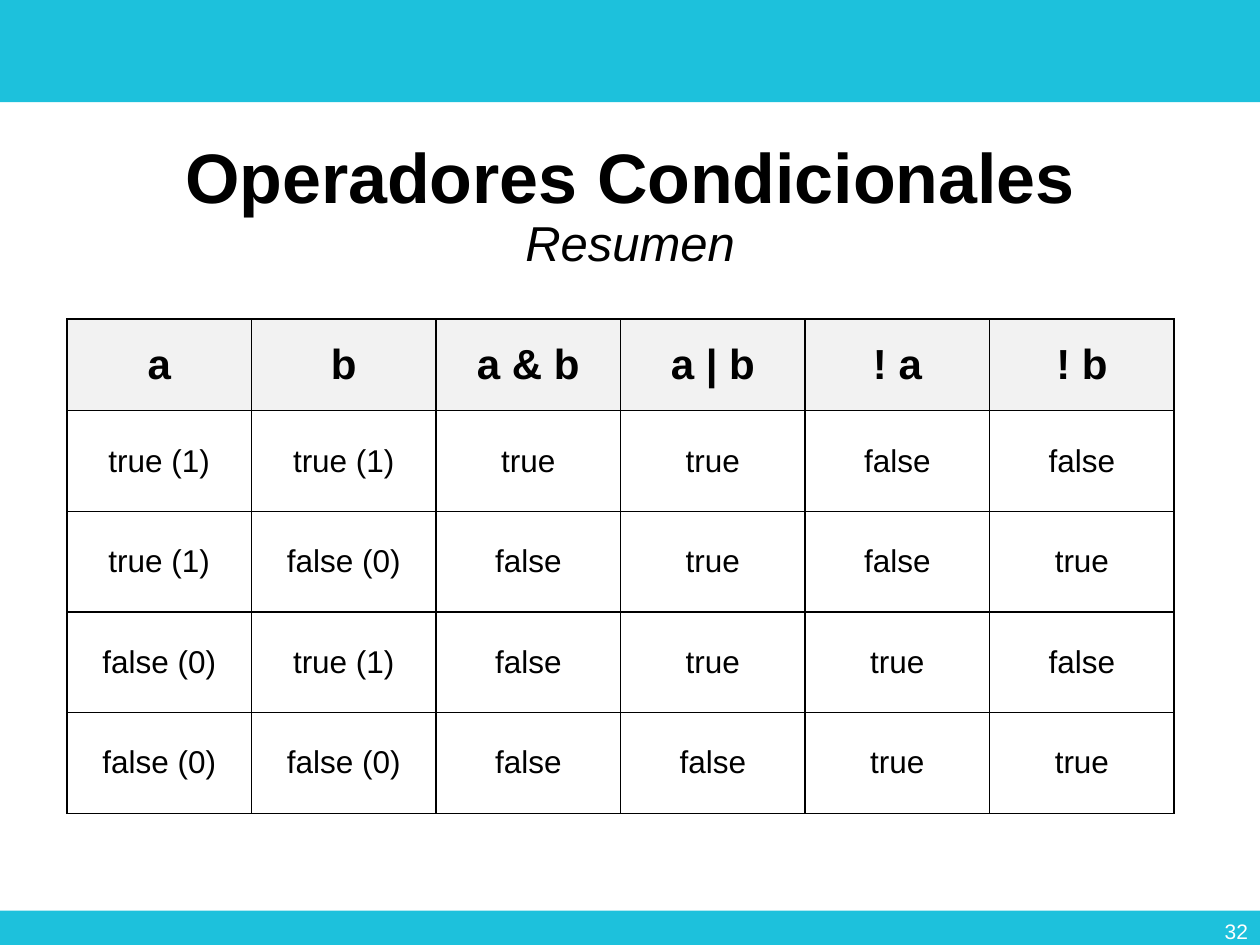
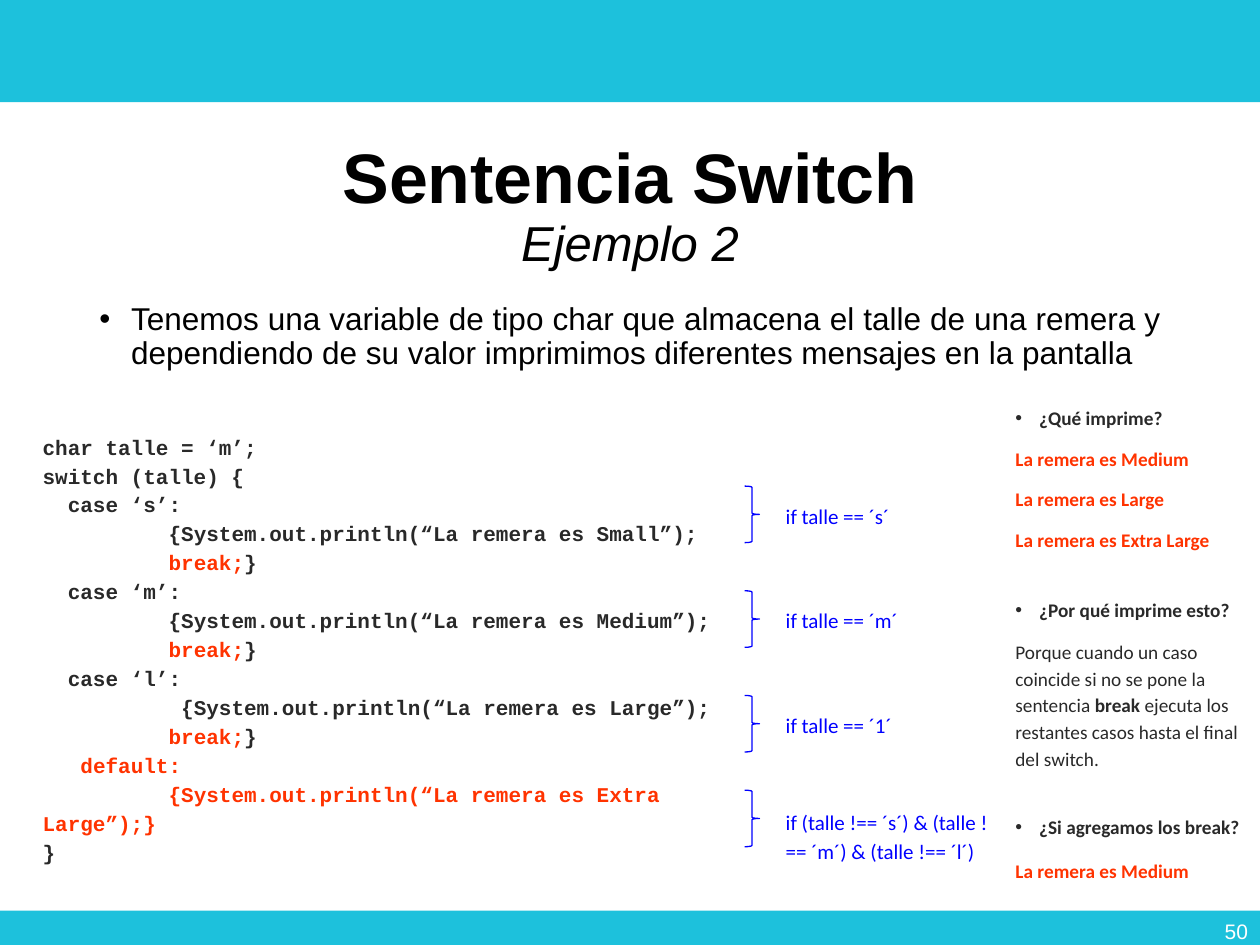
from lxml.etree import SubElement
from pptx import Presentation
from pptx.dml.color import RGBColor
from pptx.enum.shapes import MSO_SHAPE as Shape
from pptx.enum.text import MSO_ANCHOR as Anchor, MSO_AUTO_SIZE as AutoSize, PP_ALIGN as Align
from pptx.oxml.ns import qn
from pptx.util import Cm, Pt

CYAN = RGBColor(0x1D, 0xC1, 0xDC)
WHITE = RGBColor(0xFF, 0xFF, 0xFF)
BLACK = RGBColor(0, 0, 0)
INK = RGBColor(0x29, 0x29, 0x29)
RED = RGBColor(0xFF, 0x33, 0x00)
BLUE = RGBColor(0, 0, 0xFF)
HEADER_GRAY = RGBColor(0xF2, 0xF2, 0xF2)

TITLE_AND_BODY, TITLE_ONLY = 1, 5


class Deck:
    """Holds the shared style and the slide being built."""

    heading_font = "Arial"
    note_font = "Calibri"
    code_font = "Courier New"

    def __init__(self):
        self.prs = Presentation()
        self.prs.slide_width, self.prs.slide_height = Cm(25.4), Cm(19.05)
        self.slide = None

    def style(self, run, font, size, color, bold=False, italic=False):
        run.font.name, run.font.size = font, Pt(size)
        run.font.bold, run.font.italic = bold, italic
        run.font.color.rgb = color

    def bullet(self, paragraph, indent):
        props = paragraph._p.get_or_add_pPr()
        props.set("marL", str(indent))
        props.set("indent", str(-indent))
        SubElement(props, qn("a:buFont"), typeface="Arial")
        SubElement(props, qn("a:buChar"), char="•")

    def tab_stop(self, paragraph, position):
        stops = SubElement(paragraph._p.get_or_add_pPr(), qn("a:tabLst"))
        SubElement(stops, qn("a:tab"), pos=str(position), algn="l")

    def place(self, shape, left, top, width, height):
        shape.left, shape.top = Cm(left), Cm(top)
        shape.width, shape.height = Cm(width), Cm(height)

    def new_slide(self, layout, title, subtitle, number):
        self.slide = self.prs.slides.add_slide(self.prs.slide_layouts[layout])
        self.band(0, 2.06)
        self.band(18.36, 0.79)
        self.title(title, subtitle)
        footer = self.text_frame(19.69, 18.26, 5.72, 1.02)
        self.paragraph(footer, 0, [(number, WHITE, False)], self.heading_font, 12, align=Align.RIGHT)

    def band(self, top, height):
        band = self.slide.shapes.add_shape(Shape.RECTANGLE, 0, Cm(top), self.prs.slide_width, Cm(height))
        band.shadow.inherit = False
        band.fill.solid()
        band.fill.fore_color.rgb = CYAN
        band.line.fill.background()

    def title(self, title, subtitle):
        holder = self.slide.shapes.title
        self.place(holder, 1.75, 2.49, 21.9, 3.38)
        frame = holder.text_frame
        frame.auto_size, frame.vertical_anchor = AutoSize.NONE, Anchor.MIDDLE
        heading = frame.paragraphs[0]
        heading.text = f"{title}\v{subtitle}"
        heading.alignment, heading.line_spacing = Align.CENTER, 0.9
        title_run, subtitle_run = heading.runs
        self.style(title_run, self.heading_font, 40, BLACK, bold=True)
        self.style(subtitle_run, self.heading_font, 28, BLACK, italic=True)
        SubElement(heading._p.find(qn("a:br")), qn("a:rPr"), sz="4000")

    def body(self, text):
        holder = self.slide.placeholders[1]
        self.place(holder, 1.75, 5.99, 21.9, 12.09)
        holder.text_frame.auto_size = AutoSize.NONE
        self.paragraph(holder.text_frame, 0, [(text, BLACK, False)], self.heading_font, 18,
                       spacing=0.9, align=Align.JUSTIFY, indent=Cm(0.64))

    def text_frame(self, left, top, width, height, inset=None):
        box = self.slide.shapes.add_textbox(Cm(left), Cm(top), Cm(width), Cm(height))
        frame = box.text_frame
        frame.word_wrap, frame.vertical_anchor = True, Anchor.MIDDLE
        if inset is not None:
            frame.margin_top = frame.margin_bottom = Cm(inset)
            frame.margin_left = frame.margin_right = Cm(inset)
        return frame

    def paragraph(self, frame, index, pieces, font, size, spacing=1.0, before=0,
                  align=Align.LEFT, indent=None, tab=None):
        """Write one paragraph from (text, colour, bold) pieces."""
        paragraph = frame.paragraphs[0] if index == 0 else frame.add_paragraph()
        paragraph.alignment, paragraph.line_spacing = align, spacing
        paragraph.space_before = Pt(before)
        if indent:
            self.bullet(paragraph, indent)
        if tab:
            self.tab_stop(paragraph, tab)
        for text, color, bold in pieces:
            run = paragraph.add_run()
            run.text = text
            self.style(run, font, size, color, bold)

    def code(self, lines):
        frame = self.text_frame(0.61, 8.89, 15.57, 8.33, inset=0.25)
        for index, pieces in enumerate(lines):
            bold_pieces = [(text, color, True) for text, color in pieces]
            self.paragraph(frame, index, bold_pieces, self.code_font, 12, spacing=1.15, tab=Cm(2.54))

    def answers(self, entries):
        frame = self.text_frame(20.22, 6.12, 5.16, 13.67, inset=0.25)
        for index, (pieces, spacing, before, is_question) in enumerate(entries):
            self.paragraph(frame, index, pieces, self.note_font, 11, spacing, before,
                           indent=Cm(0.48) if is_question else None)

    def brace_note(self, condition, brace_top, note_top):
        brace = self.slide.shapes.add_shape(Shape.RIGHT_BRACE, Cm(15.01), Cm(brace_top), Cm(0.3), Cm(1.14))
        brace.shadow.inherit = False
        brace.fill.background()
        brace.line.color.rgb, brace.line.width = BLUE, Pt(0.75)
        frame = self.text_frame(15.59, note_top, 4.88, 1.8, inset=0.25)
        self.paragraph(frame, 0, [(condition, BLUE, False)], self.note_font, 12, spacing=1.15)

    def border(self, cell):
        props = cell._tc.get_or_add_tcPr()
        for side in ("lnL", "lnR", "lnT", "lnB"):
            line = SubElement(props, qn(f"a:{side}"), w=str(Pt(1)))
            SubElement(SubElement(line, qn("a:solidFill")), qn("a:srgbClr"), val=str(BLACK))

    def table(self, rows, left, top, column_width, header_height, row_height):
        columns = len(rows[0])
        height = header_height + row_height * (len(rows) - 1)
        table = self.slide.shapes.add_table(len(rows), columns, Cm(left), Cm(top),
                                            Cm(column_width * columns), Cm(height)).table
        table.first_row = table.horz_banding = False
        for column in table.columns:
            column.width = Cm(column_width)
        for r, values in enumerate(rows):
            is_header = r == 0
            table.rows[r].height = Cm(header_height if is_header else row_height)
            for c, value in enumerate(values):
                cell = table.cell(r, c)
                cell.vertical_anchor = Anchor.MIDDLE
                self.border(cell)
                if is_header:
                    cell.fill.solid()
                    cell.fill.fore_color.rgb = HEADER_GRAY
                else:
                    cell.fill.background()
                self.paragraph(cell.text_frame, 0, [(value, BLACK, is_header)], self.heading_font,
                               24 if is_header else 18, align=Align.CENTER)


def operators_slide(deck):
    deck.new_slide(TITLE_ONLY, "Operadores Condicionales", "Resumen", "32")
    truth_table = [
        ("a", "b", "a & b", "a | b", "! a", "! b"),
        ("true (1)", "true (1)", "true", "true", "false", "false"),
        ("true (1)", "false (0)", "false", "true", "false", "true"),
        ("false (0)", "true (1)", "false", "true", "true", "false"),
        ("false (0)", "false (0)", "false", "false", "true", "true"),
    ]
    deck.table(truth_table, 1.35, 6.43, 3.72, 1.85, 2.03)


def switch_slide(deck):
    deck.new_slide(TITLE_AND_BODY, "Sentencia Switch", "Ejemplo 2", "50")
    deck.body("Tenemos una variable de tipo char que almacena el talle de una remera y "
              "dependiendo de su valor imprimimos diferentes mensajes en la pantalla")

    break_line = [("  \t", INK), ("break;", RED), ("}", INK)]
    deck.code([
        [("char talle = ‘m’;", INK)],
        [("switch (talle) {", INK)],
        [("  case ‘s’:", INK)],
        [("  \t{System.out.println(“La remera es Small”);", INK)],
        break_line,
        [("  case ‘m’:", INK)],
        [("   \t{System.out.println(“La remera es Medium”);", INK)],
        break_line,
        [("  case ‘l’:", INK)],
        [("  \t {System.out.println(“La remera es Large”);", INK)],
        break_line,
        [("   ", INK), ("default:", RED)],
        [("  \t{System.out.println(“La remera es Extra", RED)],
        [("Large”);}", RED)],
        [("}", INK)],
    ])

    explanation = [
        ("Porque cuando un caso coincide si no se pone la sentencia ", INK, False),
        ("break ", INK, True),
        ("ejecuta los restantes casos hasta el final del switch.", INK, False),
    ]
    deck.answers([
        ([("¿Qué imprime?", INK, True)], 1.15, 0, True),
        ([("La remera es Medium", RED, True)], 1.0, 10, False),
        ([("La remera es Large", RED, True)], 1.0, 10, False),
        ([("La remera es Extra Large", RED, True)], 1.0, 10, False),
        ([("¿Por qué imprime esto?", INK, True)], 1.15, 25, True),
        (explanation, 1.15, 9, False),
        ([("¿Si agregamos los break?", INK, True)], 1.15, 24, True),
        ([("La remera es Medium", RED, True)], 1.15, 10, False),
    ])

    for condition, brace_top, note_top in (
        ("if talle == ´s´", 9.8, 9.47),
        ("if talle == ´m´", 11.91, 11.56),
        ("if talle == ´1´", 14.02, 13.69),
        ("if (talle !== ´s´) & (talle !== ´m´) & (talle !== ´l´)", 15.93, 15.93),
    ):
        deck.brace_note(condition, brace_top, note_top)


def main():
    deck = Deck()
    operators_slide(deck)
    switch_slide(deck)
    deck.prs.save("out.pptx")


if __name__ == "__main__":
    main()
